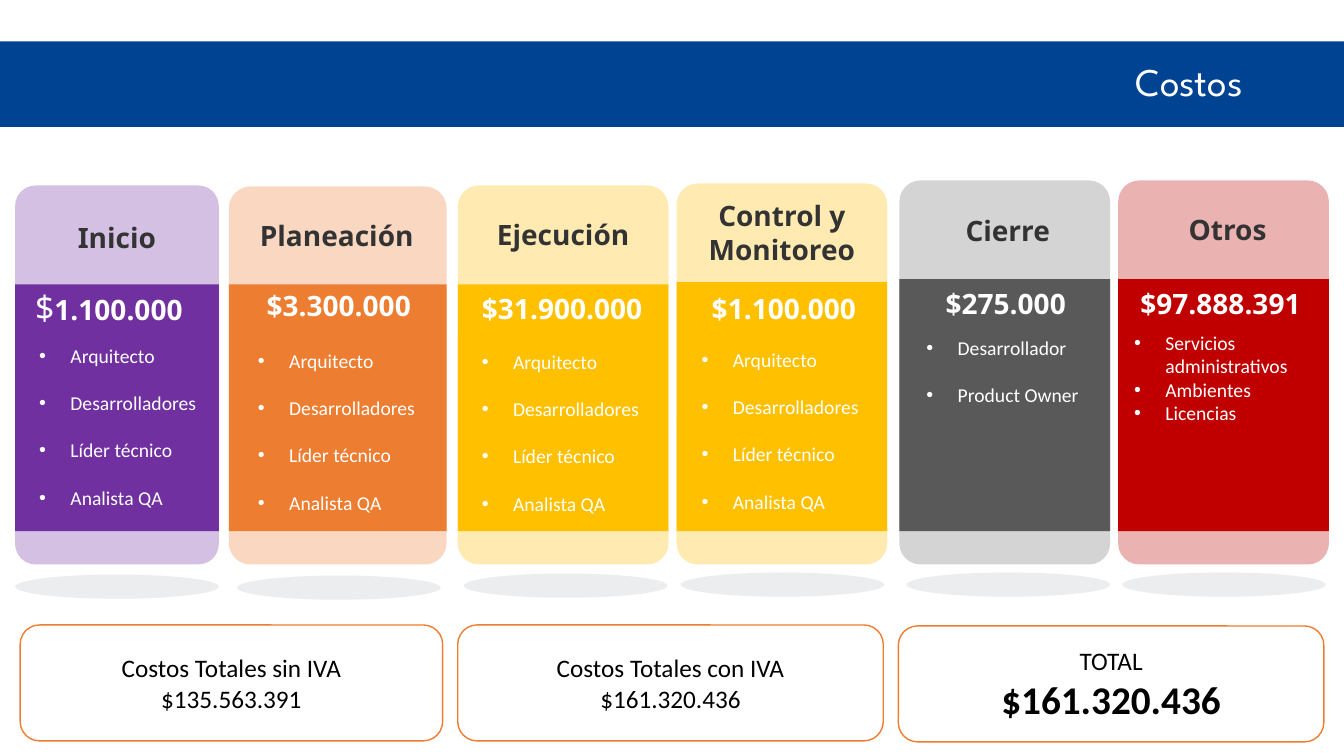
"""Build the project cost slide: six phase cards and three totals."""
from lxml import etree
from pptx import Presentation
from pptx.dml.color import RGBColor
from pptx.enum import shapes, text
from pptx.oxml import ns
from pptx.util import Inches, Pt

COLORS = {
    "banner": "004392", "white": "FFFFFF", "black": "000000", "heading": "333333",
    "purple": "7030A0", "orange": "ED7D31", "gold": "FFC000", "gray": "767171",
    "charcoal": "595959", "red": "C00000", "shadow": "44546A",
}
CARD_BOTTOM, BODY_BOTTOM = 5.6, 5.27
TEAM = ["Arquitecto", "Desarrolladores", "Líder técnico", "Analista QA"]
CLOSING = ["Desarrollador", "Product Owner"]
EXTRAS = ["Servicios administrativos", "Ambientes", "Licencias"]

deck = Presentation()
deck.slide_width, deck.slide_height = Inches(13.33), Inches(7.5)
page = deck.slides.add_slide(deck.slide_layouts[6])


def add_block(kind, left, top, width, height, color, opacity=100):
    block = page.shapes.add_shape(kind, Inches(left), Inches(top), Inches(width), Inches(height))
    block.shadow.inherit = False
    block.fill.solid()
    block.fill.fore_color.rgb = RGBColor.from_string(COLORS[color])
    block.line.fill.background()
    if opacity < 100:
        tint = block.fill._xPr.find(".//" + ns.qn("a:srgbClr"))
        etree.SubElement(tint, ns.qn("a:alpha"), val=str(opacity * 1000))
    return block


def write(box, lines, size, font, color, bold=False, align=text.PP_ALIGN.CENTER):
    frame = box.text_frame
    frame.word_wrap = True
    frame.text = "\n".join(lines)
    for para in frame.paragraphs:
        para.alignment = align
        for span in para.runs:
            span.font.size, span.font.name, span.font.bold = Pt(size), font, bold
            span.font.color.rgb = RGBColor.from_string(COLORS[color])
    return frame


add_block(shapes.MSO_SHAPE.RECTANGLE, 0, 0.41, 13.33, 0.85, "banner")
title = page.shapes.add_textbox(Inches(10.26), Inches(0.29), Inches(3.07), Inches(1.09))
title_frame = write(title, ["Costos"], 28, "League Spartan", "white")
title_frame.vertical_anchor = text.MSO_ANCHOR.MIDDLE
title_frame.paragraphs[0].line_spacing = 0.9

# Columns: name, cost, tint, body, card (left, top, width), body top,
# name, cost, list and shadow positions, items, gap between items.
phases = [
    ("Inicio", "$1.100.000", "purple", "purple", (0.15, 1.84, 2.02), 2.82,
     (0.15, 2.14), (0.07, 2.8), (0.29, 3.36), (0.15, 5.7), TEAM, 17),
    ("Planeación", "$3.300.000", "orange", "orange", (2.27, 1.85, 2.16), 2.82,
     (2.26, 2.12), (2.28, 2.81), (2.46, 3.41), (2.35, 5.71), TEAM, 17),
    ("Ejecución", "$31.900.000", "gold", "gold", (4.54, 1.84, 2.09), 2.82,
     (4.54, 2.11), (4.53, 2.84), (4.68, 3.42), (4.6, 5.69), TEAM, 17),
    ("Control y Monitoreo", "$1.100.000", "gold", "gold", (6.71, 1.82, 2.09), 2.8,
     (6.71, 1.92), (6.73, 2.84), (6.86, 3.4), (6.75, 5.68), TEAM, 17),
    ("Cierre", "$275.000", "gray", "charcoal", (8.92, 1.79, 2.09), 2.77,
     (8.95, 2.07), (8.93, 2.79), (9.09, 3.28), (8.99, 5.68), CLOSING, 17),
    ("Otros", "$97.888.391", "red", "red", (11.09, 1.79, 2.09), 2.77,
     (11.13, 2.06), (11.06, 2.79), (11.15, 3.23), (11.13, 5.68), EXTRAS, 0),
]
for (name, cost, tint, body, (left, top, width), body_top,
     name_at, cost_at, list_at, shadow_at, items, gap) in phases:
    card = add_block(shapes.MSO_SHAPE.ROUNDED_RECTANGLE, left, top, width,
                     CARD_BOTTOM - top, tint, 30)
    card.adjustments[0] = 0.1
    add_block(shapes.MSO_SHAPE.RECTANGLE, left, body_top, width, BODY_BOTTOM - body_top, body)
    add_block(shapes.MSO_SHAPE.OVAL, *shadow_at, 2.02, 0.24, "shadow", 10)
    for label, (label_left, label_top), color in [(name, name_at, "heading"),
                                                  (cost, cost_at, "white")]:
        box = page.shapes.add_textbox(Inches(label_left), Inches(label_top),
                                      Inches(width), Inches(0.44))
        label_frame = write(box, [label], 20, "Noto Sans", color, True)
        if name == "Inicio" and label == cost:
            amount = label_frame.paragraphs[0]
            amount.runs[0].text = "$"
            amount.runs[0].font.size, amount.runs[0].font.bold = Pt(24), False
            digits = amount.add_run()
            digits.text = cost[1:]
            digits.font.size, digits.font.name, digits.font.bold = Pt(20), "Noto Sans", True
            digits.font.color.rgb = RGBColor.from_string(COLORS["white"])
    roles = page.shapes.add_textbox(Inches(list_at[0]), Inches(list_at[1]),
                                    Inches(1.98 if items is EXTRAS else 1.79), Inches(1.28))
    for para in write(roles, items, 14, "Calibri", "white", align=text.PP_ALIGN.LEFT).paragraphs:
        para.space_after = Pt(gap)
        props = para._p.get_or_add_pPr()
        props.set("marL", str(Inches(0.31)))
        props.set("indent", str(-Inches(0.31)))
        etree.SubElement(props, ns.qn("a:buFont"), typeface="Arial")
        etree.SubElement(props, ns.qn("a:buChar"), char="•")

totals = [
    (0.2, 6.2, 4.19, "Costos Totales sin IVA", "$135.563.391"),
    (4.54, 6.2, 4.22, "Costos Totales con IVA", "$161.320.436"),
    (8.91, 6.21, 4.22, "TOTAL", "$161.320.436"),
]
for left, top, width, label, amount in totals:
    total = add_block(shapes.MSO_SHAPE.ROUNDED_RECTANGLE, left, top, width, 1.15, "white")
    total.line.color.rgb = RGBColor.from_string(COLORS["orange"])
    total.line.width = Pt(1)
    total_frame = write(total, [label, amount], 18, "Calibri", "black")
    total_frame.vertical_anchor = text.MSO_ANCHOR.MIDDLE
    if label == "TOTAL":
        grand = total_frame.paragraphs[1].runs[0].font
        grand.size, grand.bold = Pt(28), True

deck.save("out.pptx")
